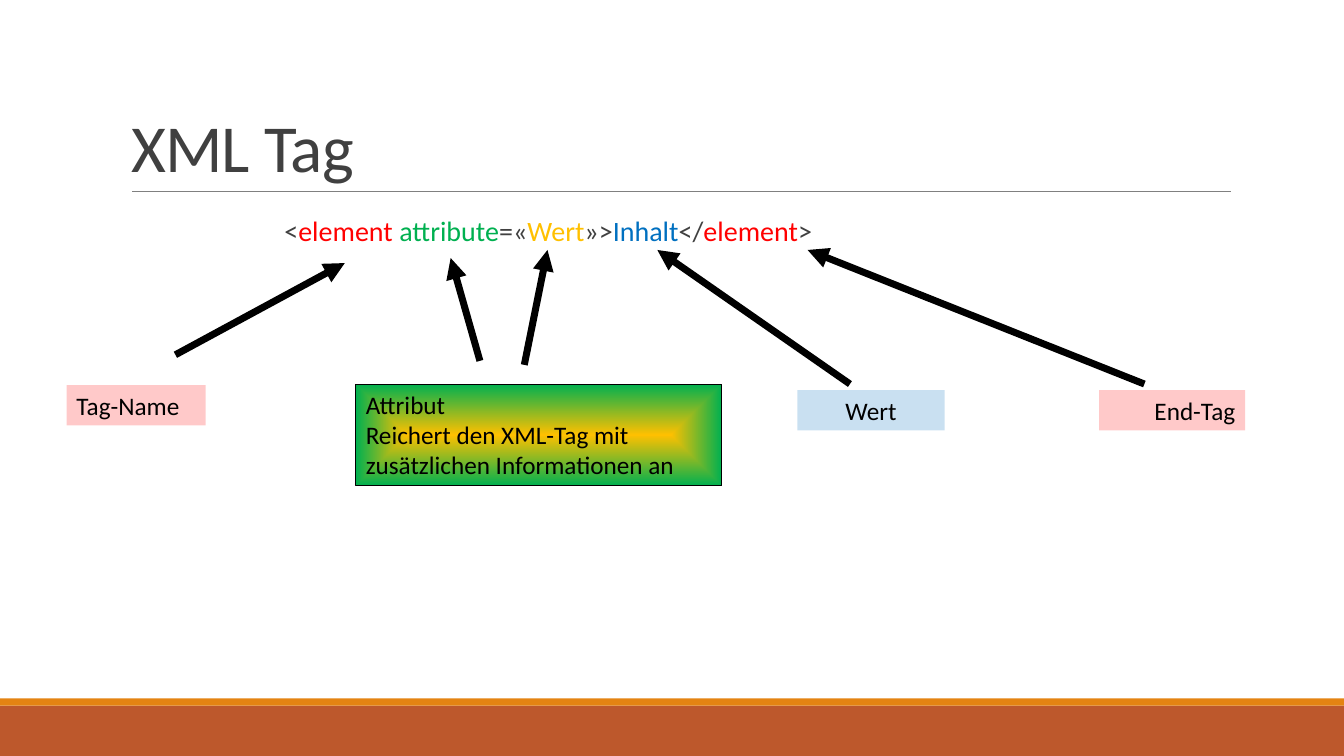
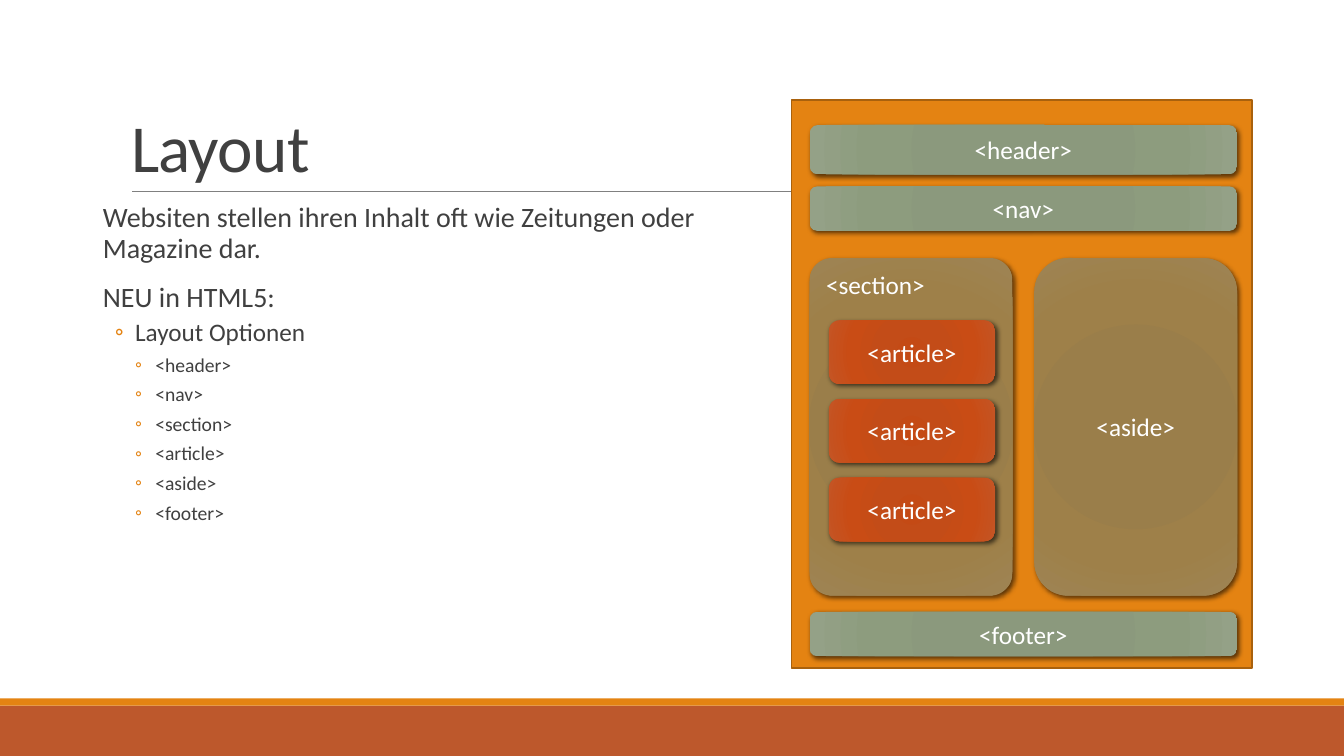
from lxml import etree
from pptx import Presentation
from pptx import util as u
from pptx.dml.color import RGBColor
from pptx.enum import shapes, text
from pptx.oxml.ns import qn

SCALE = 9144  # EMU per px, 100 px to the inch
WIDTH, HEIGHT = 1333, 750
FONT = "Calibri"

BLACK = RGBColor(0x00, 0x00, 0x00)
WHITE = RGBColor(0xFF, 0xFF, 0xFF)
INK = RGBColor(0x40, 0x40, 0x40)
GREY = RGBColor(0x80, 0x80, 0x80)
RUST = RGBColor(0xBD, 0x58, 0x2C)
ORANGE = RGBColor(0xE4, 0x83, 0x12)
BROWN = RGBColor(0xA9, 0x61, 0x0D)
RED = RGBColor(0xFF, 0x00, 0x00)
GREEN = RGBColor(0x00, 0xB0, 0x50)
YELLOW = RGBColor(0xFF, 0xC0, 0x00)
BLUE = RGBColor(0x00, 0x70, 0xC0)


def soft_stops(*colours):
    return list(zip((0, 34, 70, 100), map(RGBColor.from_string, colours)))


SAGE = soft_stops("8A987B", "8B997D", "8D9C7E", "94A187")
OLIVE = soft_stops("9A7D48", "9A7E4A", "9E8049", "9E8454")
BRICK = soft_stops("C44A15", "C34C18", "C94C15", "C45525")

RECT = shapes.MSO_SHAPE.RECTANGLE
ROUND = shapes.MSO_SHAPE.ROUNDED_RECTANGLE
LEFT, CENTER, RIGHT = text.PP_ALIGN.LEFT, text.PP_ALIGN.CENTER, text.PP_ALIGN.RIGHT
TOP, MIDDLE, BOTTOM = (text.MSO_ANCHOR.TOP, text.MSO_ANCHOR.MIDDLE,
                       text.MSO_ANCHOR.BOTTOM)

# per level: size, indent, hang, space before, space after
LEVELS = [(20, 10, 0, 12, 2), (18, 42, 20, 2, 4), (14, 62, 20, 2, 4)]


def px(n):
    return u.Emu(n * SCALE)


def sub(parent, tag, **attrs):
    """Append a DrawingML child element."""
    return etree.SubElement(parent, qn("a:" + tag),
                            {k: str(v) for k, v in attrs.items()})


class Deck:
    def __init__(self):
        self.prs = Presentation()
        self.prs.slide_width, self.prs.slide_height = px(WIDTH), px(HEIGHT)
        self.slide = None

    def new_slide(self, title):
        self.slide = self.prs.slides.add_slide(self.prs.slide_layouts[1])
        self.box((0, 700, WIDTH, 50), RUST)
        self.box((0, 693, WIDTH, 7), ORANGE)
        self.line((131, 190), (1221, 190), GREY, 0.5)
        tf = self.placeholder(0, (120, 31, 1100, 159))
        tf.vertical_anchor = BOTTOM
        p = tf.paragraphs[0]
        p.alignment, p.line_spacing = LEFT, 0.85
        r = self.run(p, title, 48, INK)
        r.font._element.set("spc", "-50")

    def placeholder(self, index, at):
        s = self.slide.placeholders[index]
        s.left, s.top, s.width, s.height = map(px, at)
        tf = s.text_frame
        tf.word_wrap, tf.auto_size = True, text.MSO_AUTO_SIZE.NONE
        return tf

    def run(self, p, words, size, colour):
        r = p.add_run()
        r.text = words
        r.font.name, r.font.size, r.font.color.rgb = FONT, u.Pt(size), colour
        return r

    def body(self, at, items):
        """Fill the body with (level, runs); a run is (words, colour)."""
        tf = self.placeholder(1, at)
        tf.margin_left = tf.margin_right = 0
        tf.margin_top = tf.margin_bottom = px(5)
        tf.vertical_anchor = TOP
        for i, (level, runs) in enumerate(items):
            p = tf.add_paragraph() if i else tf.paragraphs[0]
            size, indent, hang, before, after = LEVELS[level]
            p.level, p.alignment, p.line_spacing = level, LEFT, 0.9
            p.space_before, p.space_after = u.Pt(before), u.Pt(after)
            pPr = p._p.get_or_add_pPr()
            pPr.set("marL", str(px(indent if len(items) > 1 else 0)))
            pPr.set("indent", str(px(-hang)))
            if hang:
                sub(sub(pPr, "buClr"), "srgbClr", val=ORANGE)
                sub(pPr, "buFont", typeface=FONT)
                sub(pPr, "buChar", char="◦")
            else:
                sub(pPr, "buNone")
            for words, colour in runs:
                self.run(p, words, size, colour)

    def box(self, at, fill, lines=(), kind=RECT, edge=None, colour=BLACK,
            align=LEFT, anchor=TOP, alpha=None):
        """Draw a shape; fill is a colour, or None to be set afterwards."""
        s = self.slide.shapes.add_shape(kind, *map(px, at))
        if fill is not None:
            s.fill.solid()
            s.fill.fore_color.rgb = fill
        if alpha:
            clr = s._element.spPr.find(".//" + qn("a:srgbClr"))
            sub(clr, "alpha", val=alpha * 1000)
        if edge:
            s.line.color.rgb, s.line.width = edge[0], u.Pt(edge[1])
        else:
            s.line.fill.background()
        s.shadow.inherit = False
        tf = s.text_frame
        tf.word_wrap, tf.vertical_anchor = True, anchor
        for i, words in enumerate(lines):
            p = tf.add_paragraph() if i else tf.paragraphs[0]
            p.alignment = align
            self.run(p, words, 18, colour)
        return s

    def gradient(self, s, stops, shape, centre):
        """Give a shape a path gradient that runs out from centre (percent)."""
        s.fill.background()
        spPr = s._element.spPr
        grad = etree.Element(qn("a:gradFill"), rotWithShape="1")
        gs = sub(grad, "gsLst")
        for pos, colour in stops:
            sub(sub(gs, "gs", pos=pos * 1000), "srgbClr", val=colour)
        sub(sub(grad, "path", path=shape), "fillToRect",
            **dict.fromkeys("ltrb", centre * 1000))
        spPr.replace(spPr.find(qn("a:noFill")), grad)

    def block(self, at, stops, label, align=CENTER, anchor=MIDDLE):
        """Draw a rounded page region with a soft gradient and a shadow."""
        s = self.box(at, None, [label], ROUND, None, WHITE, align, anchor)
        self.gradient(s, stops, "circle", 100)
        shadow = sub(s._element.spPr.find(qn("a:effectLst")), "outerShdw",
                     blurRad=u.Pt(3.5), dist=u.Pt(2), dir=45 * 60000,
                     algn="ctr", rotWithShape=0)
        sub(sub(shadow, "srgbClr", val=BLACK), "alpha", val=60000)
        return s

    def line(self, start, end, colour, width, arrow=False):
        c = self.slide.shapes.add_connector(
            shapes.MSO_CONNECTOR.STRAIGHT, *map(px, start + end))
        c.line.color.rgb, c.line.width = colour, u.Pt(width)
        spPr = c._element.spPr
        if arrow:
            sub(spPr.find(qn("a:ln")), "tailEnd", type="triangle")
        sub(spPr, "effectLst")


def xml_tag(deck):
    deck.new_slide("XML Tag")
    deck.body((282, 211, 801, 82), [(0, [
        ("<", INK), ("element ", RED), ("attribute", GREEN), ("=«", INK),
        ("Wert", YELLOW), ("»>", INK), ("Inhalt", BLUE), ("</", INK),
        ("element", RED), (">", INK)])])
    for at, fill, label, align in [
            ((66, 382, 138, 40), RED, "Tag-Name", LEFT),
            ((791, 387, 146, 40), BLUE, "Wert", CENTER),
            ((1090, 387, 145, 40), RED, "End-Tag", RIGHT)]:
        deck.box(at, fill, [label], align=align, alpha=21)
    attribute = deck.box(
        (353, 381, 363, 101), None,
        ["Attribut", "Reichert den XML-Tag mit zusätzlichen Informationen an"],
        edge=(BLACK, 0.75))
    deck.gradient(attribute, [(0, YELLOW), (100, GREEN)], "shape", 50)
    for start, end in [((174, 352), (342, 261)), ((476, 358), (447, 256)),
                       ((520, 362), (543, 248)), ((843, 381), (652, 248)),
                       ((1135, 381), (801, 248))]:
        deck.line(start, end, BLACK, 5, arrow=True)


def layout(deck):
    deck.new_slide("Layout")
    tags = ["<header>", "<nav>", "<section>", "<article>", "<aside>", "<footer>"]
    items = [
        (0, "Websiten stellen ihren Inhalt oft wie Zeitungen oder Magazine dar."),
        (0, "NEU in HTML5:"),
        (1, "Layout Optionen")] + [(2, tag) for tag in tags]
    deck.body((92, 197, 612, 478),
              [(level, [(words, INK)]) for level, words in items])

    deck.box((785, 99, 457, 564), ORANGE, edge=(BROWN, 1.25))
    for top, height, label in [(124, 49, "<header>"), (185, 44, "<nav>"),
                               (607, 44, "<footer>")]:
        deck.block((803, top, 424, height), SAGE, label)
    deck.block((1026, 256, 201, 335), OLIVE, "<aside>")
    section = deck.block((803, 256, 201, 335), OLIVE, "<section>", LEFT, TOP)
    section.adjustments[0] = 0.11
    for i in range(3):
        deck.block((822, 318 + 78 * i, 165, 63), BRICK, "<article>")


def main():
    deck = Deck()
    xml_tag(deck)
    layout(deck)
    deck.prs.save("out.pptx")


if __name__ == "__main__":
    main()
